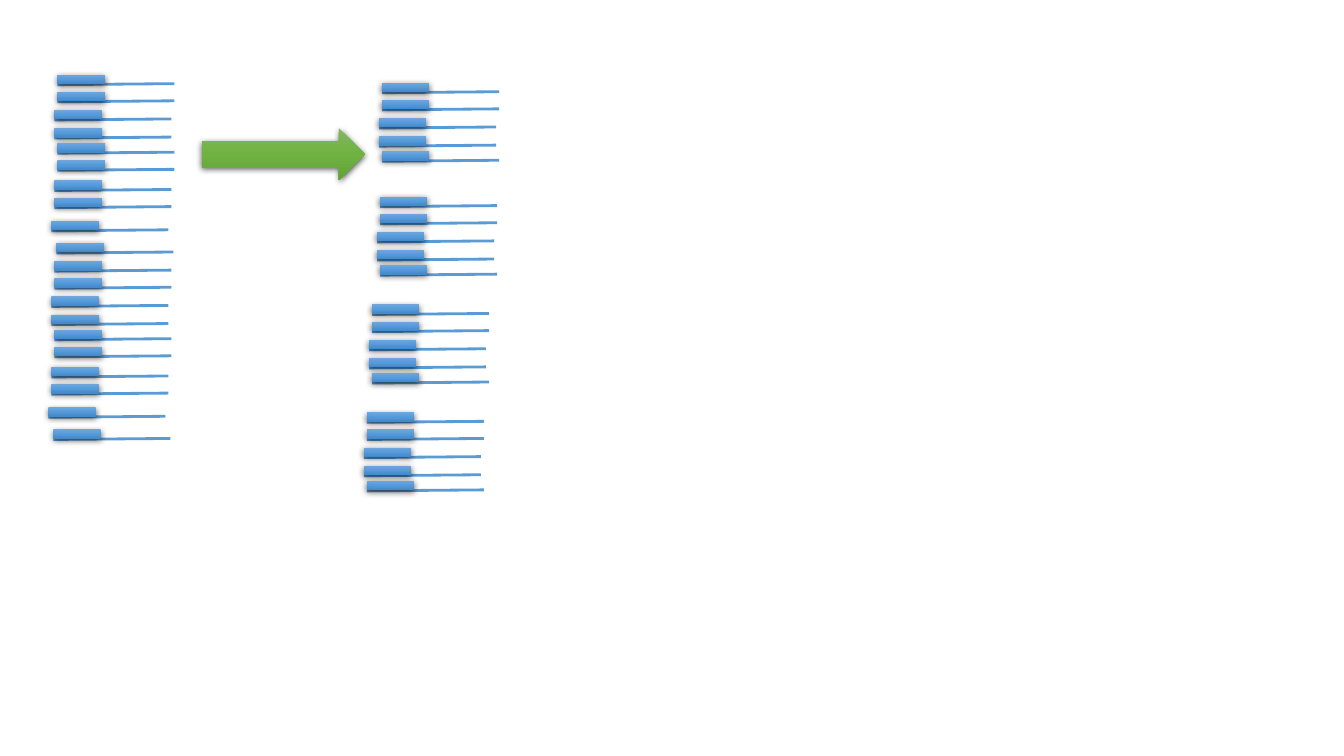
import pptx
import pptx.dml.color
import pptx.enum.shapes
import pptx.oxml
import pptx.oxml.ns
import pptx.util
from pptx.util import Inches

SHAPE = pptx.enum.shapes.MSO_SHAPE
STRAIGHT = pptx.enum.shapes.MSO_CONNECTOR.STRAIGHT

BLUE = ("71A6DB", "559BDB", "448ACA")
GREEN = ("81B861", "6FB242", "62A336")


def color(hex_value):
    return pptx.dml.color.RGBColor.from_string(hex_value)


def xml(markup):
    return pptx.oxml.parse_xml(markup.replace(">", f" {pptx.oxml.ns.nsdecls('a')}>", 1))


class Sketch:
    """Holds the style and the current slide."""
    line_format = {"width": pptx.util.Pt(2)}
    line_color = "5B9BD5"
    head_width, head_height = 0.47, 0.09
    tail_length, tail_rise = 1.16, 0.01

    def __init__(self, slide):
        self.slide = slide

    def line(self, shapes, start, end):
        tail = shapes.add_connector(STRAIGHT, *map(Inches, (*start, *end)))
        tail.line.color.rgb = color(self.line_color)
        for name, value in self.line_format.items():
            setattr(tail.line, name, value)
        tail.element.spPr.append(xml("<a:effectLst></a:effectLst>"))

    def block(self, shapes, kind, box, shades):
        block = shapes.add_shape(kind, *map(Inches, box))
        block.line.fill.background()
        block.shadow.inherit = False
        properties = block.element.spPr
        # Vertical gradient of three shades
        stops = "".join(
            f'<a:gs pos="{i * 50000}"><a:srgbClr val="{shade}"/></a:gs>'
            for i, shade in enumerate(shades))
        properties.find(pptx.oxml.ns.qn("a:ln")).addprevious(xml(
            f'<a:gradFill rotWithShape="1"><a:gsLst>{stops}</a:gsLst>'
            '<a:lin ang="5400000" scaled="0"/></a:gradFill>'))
        # Soft shadow below
        properties.find(pptx.oxml.ns.qn("a:effectLst")).append(xml(
            f'<a:outerShdw blurRad="{pptx.util.Pt(4.5)}" dist="{pptx.util.Pt(1.5)}" '
            'dir="5400000" algn="ctr" rotWithShape="0"><a:srgbClr val="000000">'
            '<a:alpha val="63000"/></a:srgbClr></a:outerShdw>'))

    def strand(self, x, y):
        shapes = self.slide.shapes.add_group_shape().shapes
        bottom = y + self.head_height
        self.line(shapes, (x, bottom + self.tail_rise), (x + self.tail_length, bottom))
        self.block(shapes, SHAPE.RECTANGLE,
                   (x, y, self.head_width, self.head_height), BLUE)

    def stack(self, origin, offsets):
        for dx, dy in offsets:
            self.strand(origin[0] + dx, origin[1] + dy)


deck = pptx.Presentation()
deck.slide_width, deck.slide_height = Inches(13.33), Inches(7.5)
sketch = Sketch(deck.slides.add_slide(deck.slide_layouts[6]))

# Strand places within a stack, relative to its first strand
strand_offsets = [(0, 0), (0, 0.17), (-0.03, 0.35), (-0.03, 0.53), (0, 0.68),
                  (0, 0.85), (-0.03, 1.05), (-0.03, 1.22), (-0.06, 1.45), (-0.01, 1.67)]
batch_size = 5

# Full pool: two stacks of ten
for pool_origin in [(0.57, 0.74), (0.54, 2.59)]:
    sketch.stack(pool_origin, strand_offsets)

# Split arrow
sketch.block(sketch.slide.shapes, SHAPE.RIGHT_ARROW, (2, 1.27, 1.62, 0.52), GREEN)

# Four batches of five
for batch_origin in [(3.79, 0.82), (3.77, 1.95), (3.69, 3.02), (3.64, 4.09)]:
    sketch.stack(batch_origin, strand_offsets[:batch_size])

deck.save("out.pptx")
